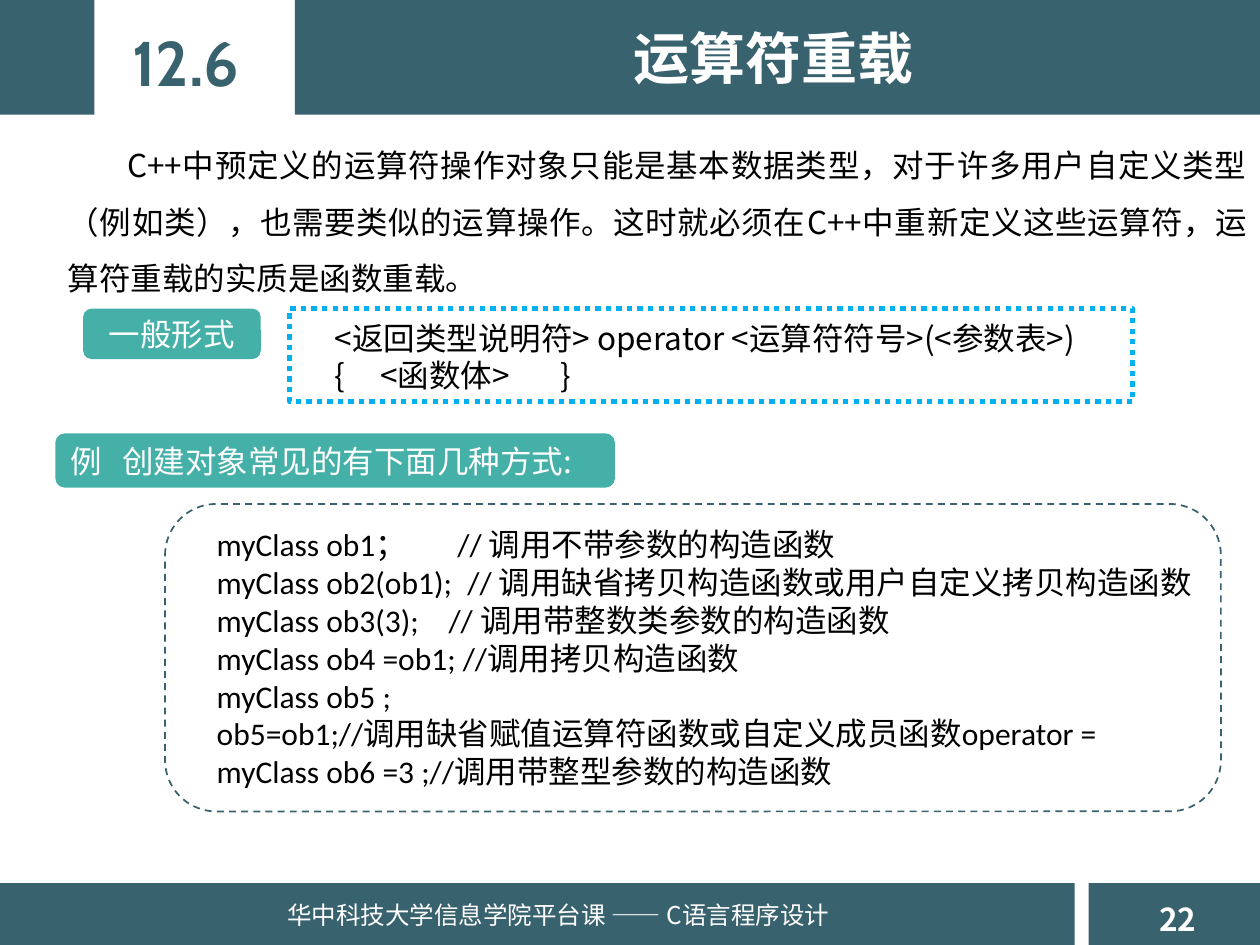
from lxml.etree import SubElement
from pptx import Presentation
from pptx.dml.color import RGBColor
from pptx.enum.dml import MSO_LINE
from pptx.enum.shapes import MSO_SHAPE
from pptx.enum.text import MSO_ANCHOR, MSO_AUTO_SIZE, PP_ALIGN
from pptx.oxml.ns import qn
from pptx.util import Inches, Pt

COLORS = {"slate": "39626F", "teal": "45B0A8", "sky": "00B0F0",
          "white": "FFFFFF", "black": "000000"}
CJK = "Noto Sans CJK SC"

BANDS = [(0, 0, 0.75, 0.91), (2.34, 0, 7.66, 0.91),
         (0, 7.01, 8.53, 0.49), (8.64, 7.01, 1.36, 0.49)]
LABELS = [
    ("22", (9.1, 7.09, 0.55, 0.4), False, dict(size=18, color="white", bold=True)),
    ("华中科技大学信息学院平台课 —— C语言程序设计", (2.18, 7.09, 4.6, 0.34), False,
     dict(size=14, color="white")),
    ("12.6", (0.87, 0.14, 1.21, 0.71), False,
     dict(size=36, color="slate", bold=True, font="Cabin", align=PP_ALIGN.CENTER)),
    ("运算符重载", (2.89, 0.14, 6.5, 0.64), True,
     dict(size=32, color="white", bold=True, align=PP_ALIGN.CENTER)),
]
INTRO = ("C++中预定义的运算符操作对象只能是基本数据类型，对于许多用户自定义类型（例如类），"
         "也需要类似的运算操作。这时就必须在C++中重新定义这些运算符，运算符重载的实质是函数重载。")
SYNTAX = [
    ("<返回类型说明符> operator <运算符符号>(<参数表>)", ()),
    ("{\t<函数体>\t}", (0.36, 1.79)),
]
EXAMPLES = [
    ("myClass ob1；\t// 调用不带参数的构造函数", (1.91,)),
    ("myClass ob2(ob1);\t// 调用缺省拷贝构造函数或用户自定义拷贝构造函数", (1.99,)),
    ("myClass ob3(3);\t// 调用带整数类参数的构造函数", (1.84,)),
    ("myClass ob4 =ob1; //调用拷贝构造函数", ()),
    ("myClass ob5 ;", ()),
    ("ob5=ob1;//调用缺省赋值运算符函数或自定义成员函数operator =", ()),
    ("myClass ob6 =3 ;//调用带整型参数的构造函数", ()),
]
TAGS = [
    ("一般形式", (), (0.66, 2.45, 1.41, 0.4), PP_ALIGN.CENTER),
    ("例\t创建对象常见的有下面几种方式:", (0.41,), (0.44, 3.44, 4.44, 0.43), PP_ALIGN.LEFT),
]
FRAMES = [
    (MSO_SHAPE.RECTANGLE, (2.3, 2.45, 6.69, 0.74), "sky", 3, MSO_LINE.ROUND_DOT),
    (MSO_SHAPE.ROUNDED_RECTANGLE, (1.31, 4, 8.38, 2.44), "slate", 1, MSO_LINE.DASH),
]


def rgb(name):
    return RGBColor.from_string(COLORS[name])


def add_shape(s, kind, box, fill=None):
    sp = s.shapes.add_shape(kind, *map(Inches, box))
    sp.shadow.inherit = False
    sp.line.fill.background()
    if fill:
        sp.fill.solid()
        sp.fill.fore_color.rgb = rgb(fill)
    else:
        sp.fill.background()
    return sp


def add_text(s, box, wrap=True):
    tf = s.shapes.add_textbox(*map(Inches, box)).text_frame
    tf.word_wrap = wrap
    tf.auto_size = MSO_AUTO_SIZE.SHAPE_TO_FIT_TEXT
    return tf


def write(tf, lines, size=18, color="black", bold=False, font=CJK, align=PP_ALIGN.LEFT):
    for i, (text, tabs) in enumerate(lines):
        p = tf.paragraphs[0] if i == 0 else tf.add_paragraph()
        p.alignment = align
        if tabs:
            tab_list = SubElement(p._p.get_or_add_pPr(), qn("a:tabLst"))
            for pos in tabs:
                SubElement(tab_list, qn("a:tab"), pos=str(Inches(pos)), algn="l")
        r = p.add_run()
        r.text = text
        r.font.size = Pt(size)
        r.font.bold = bold
        r.font.color.rgb = rgb(color)
        r.font.name = font
        SubElement(r._r.get_or_add_rPr(), qn("a:ea"), typeface=CJK)


prs = Presentation()
prs.slide_width, prs.slide_height = Inches(10), Inches(7.5)
s = prs.slides.add_slide(prs.slide_layouts[6])

for box in BANDS:
    add_shape(s, MSO_SHAPE.RECTANGLE, box, "slate")
for text, box, wrap, style in LABELS:
    write(add_text(s, box, wrap), [(text, ())], **style)

tf = add_text(s, (0.44, 0.96, 9.56, 1.46))
write(tf, [(INTRO, ())], align=PP_ALIGN.JUSTIFY)
p = tf.paragraphs[0]
p.line_spacing = 1.5
p._p.get_or_add_pPr().set("indent", str(Inches(0.47)))

write(add_text(s, (2.56, 2.48, 6.7, 0.71)), SYNTAX, align=PP_ALIGN.JUSTIFY)

for text, tabs, box, align in TAGS:
    tf = add_shape(s, MSO_SHAPE.ROUNDED_RECTANGLE, box, "teal").text_frame
    tf.vertical_anchor = MSO_ANCHOR.MIDDLE
    write(tf, [(text, tabs)], color="white", align=align)

tf = add_text(s, (1.18, 4.12, 8.82, 2.22))
tf.margin_left = Inches(0.54)
write(tf, EXAMPLES, font="Calibri", align=PP_ALIGN.JUSTIFY)

for kind, box, color, width, dash in FRAMES:
    line = add_shape(s, kind, box).line
    line.color.rgb = rgb(color)
    line.width = Pt(width)
    line.dash_style = dash

prs.save("out.pptx")
